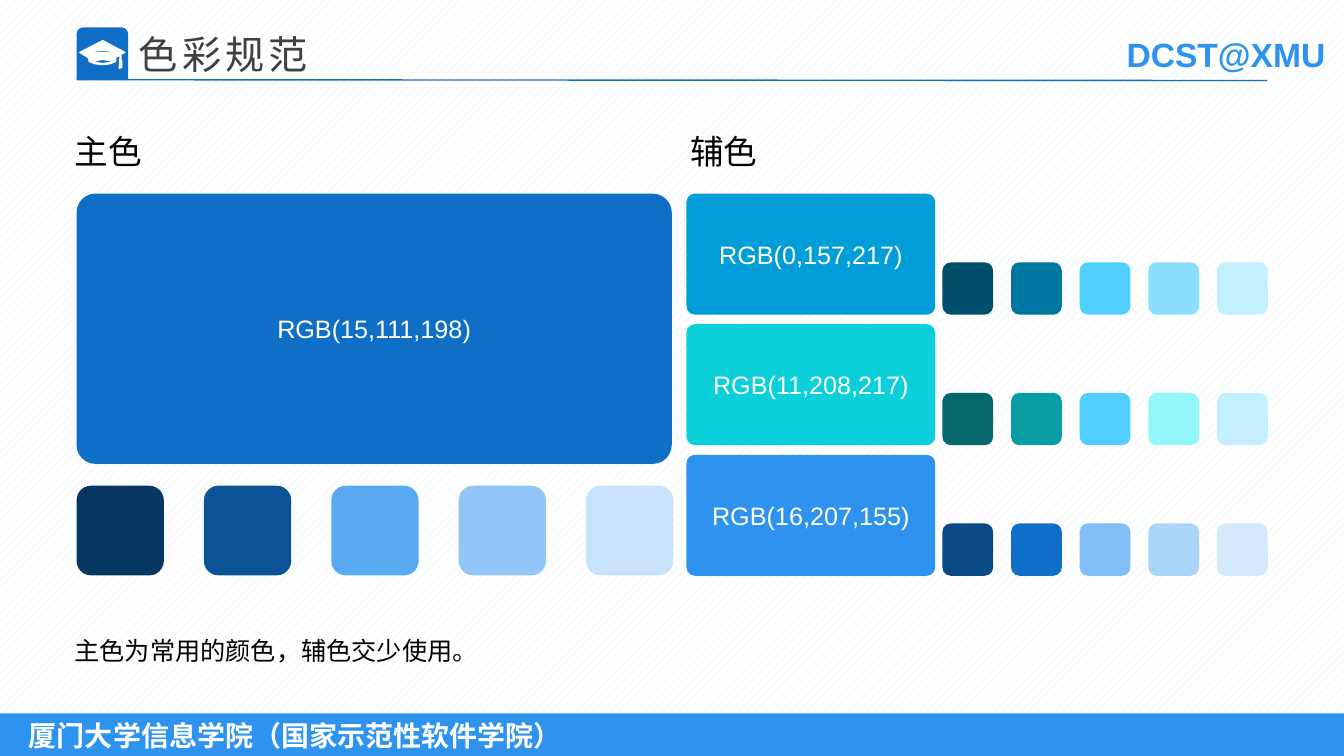
from dataclasses import dataclass

from lxml import etree
from pptx import Presentation
from pptx.dml.color import RGBColor
from pptx.enum.dml import MSO_PATTERN
from pptx.enum.shapes import MSO_CONNECTOR, MSO_SHAPE
from pptx.enum.text import MSO_ANCHOR, PP_ALIGN
from pptx.oxml.ns import qn
from pptx.util import Cm, Pt

RECTANGLE = MSO_SHAPE.RECTANGLE
ROUNDED = MSO_SHAPE.ROUNDED_RECTANGLE
TOP_ROUNDED = MSO_SHAPE.ROUND_2_SAME_RECTANGLE
STRAIGHT = MSO_CONNECTOR.STRAIGHT
DOTTED = MSO_PATTERN.PERCENT_20
TOP, MIDDLE = MSO_ANCHOR.TOP, MSO_ANCHOR.MIDDLE
LEFT, CENTER = PP_ALIGN.LEFT, PP_ALIGN.CENTER

COLORS = {
    "main": "0F6FC6",
    "bright": "2D93EF",
    "white": "FFFFFF",
    "black": "000000",
    "title": "404040",
    "dots": "DBEFF9",
}
FONT = "Arial"
PAGE_WIDTH, PAGE_HEIGHT = 33.87, 19.05
MARGIN = 1.93
PALETTE_TOP = 4.88


@dataclass(frozen=True)
class Palette:
    label: str
    color: str
    tints: tuple[str, ...]


@dataclass(frozen=True)
class Swatches:
    left: float
    top: float
    width: float
    height: float
    step: float


MAIN = Palette("RGB(15,111,198)", COLORS["main"],
               ("083763", "0B5394", "59AAF2", "91C6F7", "C8E3FB"))
ACCENTS = (
    Palette("RGB(0,157,217)", "009DD9",
            ("004E6C", "0076A3", "4FCEFF", "8ADFFF", "C4EFFF")),
    Palette("RGB(11,208,217)", "0BD0D9",
            ("06686C", "089CA3", "4FCEFF", "94F5FA", "C4EFFF")),
    Palette("RGB(16,207,155)", COLORS["bright"],
            ("0A4A84", COLORS["main"], "81BEF5", "ABD4F9", "D5E9FC")),
)

CAP_OUTLINES = (
    ((305, 150), (305, 137), (315, 132), (259, 102), (201, 132), (224, 147),
     (224, 155), (239, 161), (259, 163), (278, 161), (292, 155), (292, 145),
     (302, 140), (302, 150), (300, 152), (305, 155), (307, 152)),
    ((259, 160), (229, 155), (259, 150), (290, 155)),
    ((292, 140), (282, 133), (259, 132), (236, 133), (224, 140), (224, 137),
     (240, 129), (259, 127), (278, 129), (292, 137)),
    ((302, 155), (300, 173), (307, 170), (307, 155)),
)


def rgb(value: str) -> RGBColor:
    return RGBColor.from_string(value)


def write(box, text: str, *, size: float, color: str, bold: bool = False,
          align=LEFT, anchor=TOP, wrap: bool = False, spacing: float = 0,
          inset: float = 0.25) -> None:
    frame = box.text_frame
    frame.word_wrap = wrap
    frame.vertical_anchor = anchor
    frame.margin_left = Cm(inset)
    para = frame.paragraphs[0]
    para.alignment = align
    span = para.add_run()
    span.text = text
    span.font.name = FONT
    span.font.size = Pt(size)
    span.font.bold = bold
    span.font.color.rgb = rgb(color)
    if spacing:
        span._r.get_or_add_rPr().set("spc", str(round(spacing * 100)))


def add_block(page, kind, left: float, top: float, width: float,
              height: float, color: str, radii: tuple[float, ...] = ()):
    block = page.shapes.add_shape(kind, Cm(left), Cm(top), Cm(width), Cm(height))
    block.shadow.inherit = False
    block.fill.solid()
    block.fill.fore_color.rgb = rgb(color)
    block.line.fill.background()
    for index, radius in enumerate(radii):
        block.adjustments[index] = radius
    return block


def add_text(page, left: float, top: float, width: float, height: float,
             text: str, **style) -> None:
    box = page.shapes.add_textbox(Cm(left), Cm(top), Cm(width), Cm(height))
    write(box, text, **style)


def add_cap(page) -> None:
    first, *others = CAP_OUTLINES
    builder = page.shapes.build_freeform(*first[0], scale=Cm(1) / 100)
    builder.add_line_segments(first[1:], close=True)
    for outline in others:
        builder.move_to(*outline[0])
        builder.add_line_segments(outline[1:], close=True)
    cap = builder.convert_to_shape()
    cap.shadow.inherit = False
    cap.fill.solid()
    cap.fill.fore_color.rgb = rgb(COLORS["white"])
    cap.line.color.rgb = rgb(COLORS["white"])
    cap.line.width = Pt(0.75)


def add_frame(page) -> None:
    backdrop = add_block(page, RECTANGLE, 0, 0, PAGE_WIDTH, PAGE_HEIGHT,
                         COLORS["white"])
    backdrop.fill.patterned()
    backdrop.fill.pattern = DOTTED
    backdrop.fill.fore_color.rgb = rgb(COLORS["dots"])
    backdrop.fill.back_color.rgb = rgb(COLORS["white"])

    footer = add_block(page, RECTANGLE, 0, 17.98, PAGE_WIDTH, 1.12,
                       COLORS["bright"])
    write(footer, "厦门大学信息学院（国家示范性软件学院）", size=20,
          color=COLORS["white"], bold=True, wrap=True, inset=0.73)
    add_text(page, 28.14, 0.74, 5.59, 1.27, "DCST@XMU", size=24,
             color=COLORS["bright"], bold=True)

    add_block(page, TOP_ROUNDED, MARGIN, 0.69, 1.3, 1.32, COLORS["main"],
              (0.13, 0))
    add_cap(page)
    rule = page.shapes.add_connector(STRAIGHT, Cm(MARGIN), Cm(2.01),
                                     Cm(31.93), Cm(2.03))
    rule.line.color.rgb = rgb(COLORS["main"])
    rule.line.width = Pt(1)
    etree.SubElement(rule._element.spPr, qn("a:effectLst"))
    add_text(page, 3.25, 0.64, 18.54, 2.54, "色彩规范", size=28,
             color=COLORS["title"], wrap=True, spacing=3)


def add_palette(page, palette: Palette, left: float, top: float, width: float,
                height: float, radius: float, swatches: Swatches) -> None:
    panel = add_block(page, ROUNDED, left, top, width, height, palette.color,
                      (radius,))
    write(panel, palette.label, size=18, color=COLORS["white"], align=CENTER,
          anchor=MIDDLE, wrap=True)
    for index, tint in enumerate(palette.tints):
        add_block(page, ROUNDED, swatches.left + index * swatches.step,
                  swatches.top, swatches.width, swatches.height, tint)


def main() -> None:
    deck = Presentation()
    deck.slide_width, deck.slide_height = Cm(PAGE_WIDTH), Cm(PAGE_HEIGHT)
    page = deck.slides.add_slide(deck.slide_layouts[6])
    add_frame(page)

    for left, heading in ((1.63, "主色"), (17.15, "辅色")):
        add_text(page, left, 3.18, 2.24, 1.27, heading, size=24,
                 color=COLORS["black"])
    add_palette(page, MAIN, MARGIN, PALETTE_TOP, 15, 6.81, 0.07,
                Swatches(MARGIN, 12.24, 2.2, 2.26, 3.21))
    for row, accent in enumerate(ACCENTS):
        top = PALETTE_TOP + row * 3.29
        add_palette(page, accent, 17.3, top, 6.27, 3.05, 0.07,
                    Swatches(23.75, top + 1.73, 1.28, 1.32, 1.73))
    add_text(page, 1.63, 15.88, 10.77, 1.02,
             "主色为常用的颜色，辅色交少使用。", size=18, color=COLORS["black"])
    deck.save("out.pptx")


if __name__ == "__main__":
    main()
